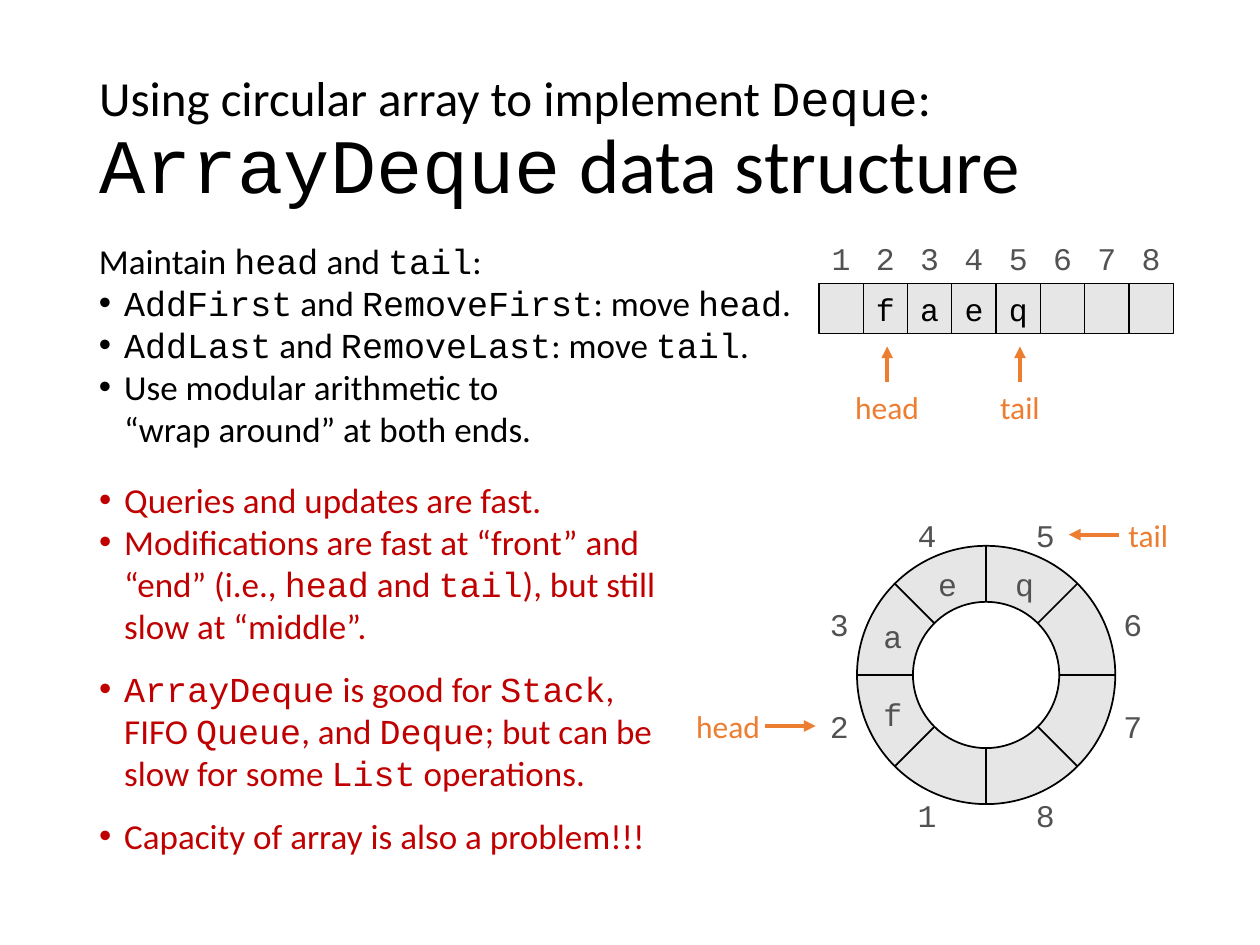
from dataclasses import dataclass
from math import copysign, cos, radians, sin

from lxml.etree import SubElement
from pptx import Presentation
from pptx.dml.color import RGBColor
from pptx.enum.shapes import MSO_CONNECTOR, MSO_SHAPE
from pptx.enum.text import MSO_ANCHOR, MSO_AUTO_SIZE, PP_ALIGN
from pptx.oxml.ns import qn
from pptx.util import Pt

RECT, OVAL = MSO_SHAPE.RECTANGLE, MSO_SHAPE.OVAL
STRAIGHT = MSO_CONNECTOR.STRAIGHT
LEFT, CENTER = PP_ALIGN.LEFT, PP_ALIGN.CENTER
TOP, MIDDLE = MSO_ANCHOR.TOP, MSO_ANCHOR.MIDDLE
FIXED = MSO_AUTO_SIZE.NONE


@dataclass(frozen=True)
class Theme:
    sans: str = "Calibri"
    mono: str = "Courier New"
    ink: str = "000000"
    gray: str = "525252"
    red: str = "C00000"
    orange: str = "ED7D31"
    cell: str = "E7E6E6"
    paper: str = "FFFFFF"
    huge: int = 44
    large: int = 28
    body: int = 20
    small: int = 18


T = Theme()
ROW = 28.8
SLOTS = {2: "f", 3: "a", 4: "e", 5: "q"}
ENDS = {"head": 2, "tail": 5}
FACTS = [
    ("Maintain `head` and `tail`:", False, 0),
    ("`AddFirst` and `RemoveFirst`: move `head`.", True, 0),
    ("`AddLast` and `RemoveLast`: move `tail`.", True, 0),
    ("Use modular arithmetic to\n“wrap around” at both ends.", True, 0),
]
COSTS = [
    ("Queries and updates are fast.", True, 0),
    ("Modifications are fast at “front” and “end” (i.e., `head` and `tail`), "
     "but still slow at “middle”.", True, 0),
    ("`ArrayDeque` is good for `Stack`, FIFO `Queue`, and `Deque`; "
     "but can be slow for some `List` operations.", True, 12),
    ("Capacity of array is also a problem!!!", True, 0),
]


def apply(item, **values):
    for key, value in values.items():
        setattr(item, key, value)


def write(para, text, size, color):
    for row, line in enumerate(text.split("\n")):
        if row:
            para.add_line_break()
            mark = para._p.findall(qn("a:br"))[-1]
            SubElement(mark, qn("a:rPr"), sz=str(size * 100))
        for part, words in enumerate(line.split("`")):
            if words:
                run = para.add_run()
                run.text = words
                apply(run.font, size=Pt(size), name=T.mono if part % 2 else T.sans)
                run.font.color.rgb = RGBColor.from_string(color)


def bullet(para):
    props = para._p.get_or_add_pPr()
    props.set("marL", str(Pt(14.4)))
    props.set("indent", str(Pt(-14.4)))
    SubElement(props, qn("a:buFont"), typeface="Arial")
    SubElement(props, qn("a:buChar"), char="•")


def label(shapes, x, y, text, color, width=25.2):
    box = shapes.add_textbox(Pt(x - width / 2), Pt(y - ROW / 2), Pt(width), Pt(ROW))
    apply(box.text_frame, word_wrap=False, vertical_anchor=MIDDLE)
    para = box.text_frame.paragraphs[0]
    para.alignment = CENTER
    write(para, text, T.small, color)


def block(shapes, kind, box, fill, weight):
    shape = shapes.add_shape(kind, *map(Pt, box))
    shape.shadow.inherit = False
    shape.fill.solid()
    shape.fill.fore_color.rgb = RGBColor.from_string(fill)
    shape.line.color.rgb = RGBColor.from_string(T.ink)
    shape.line.width = Pt(weight)
    return shape


def line(shapes, start, end, color, weight, arrow=False):
    link = shapes.add_connector(STRAIGHT, *map(Pt, start + end))
    link.line.color.rgb = RGBColor.from_string(color)
    link.line.width = Pt(weight)
    if arrow:
        SubElement(link.line._get_or_add_ln(), qn("a:tailEnd"), type="triangle")
    SubElement(link._element.spPr, qn("a:effectLst"))


def add_title(slide, box):
    title = slide.shapes.title
    apply(title, **dict(zip(("left", "top", "width", "height"), map(Pt, box))))
    apply(title.text_frame, auto_size=FIXED, vertical_anchor=MIDDLE, word_wrap=True)
    para = title.text_frame.paragraphs[0]
    apply(para, alignment=LEFT, line_spacing=0.9)
    write(para, "Using circular array to implement `Deque`:\n", T.large, T.ink)
    write(para, "`ArrayDeque` data structure", T.huge, T.ink)


def add_notes(slide, box, items, color, wrap):
    frame = slide.shapes.add_textbox(*map(Pt, box)).text_frame
    apply(frame, word_wrap=wrap, vertical_anchor=TOP)
    for place, (text, dot, gap) in enumerate(items):
        para = frame.add_paragraph() if place else frame.paragraphs[0]
        apply(para, alignment=LEFT, space_before=Pt(gap), space_after=Pt(gap))
        write(para, text, T.body, color)
        if dot:
            bullet(para)


def add_array(slide, box):
    left, top, width, height = box
    shapes = slide.shapes.add_group_shape().shapes
    step = width / 8
    base = top + 2 * ROW
    for num in range(1, 9):
        x = left + step * (num - 1)
        cell = block(shapes, RECT, (x, top + ROW, step, ROW), T.cell, 0.75)
        label(shapes, x + step / 2, top + ROW / 2, f"`{num}`", T.gray)
        if num in SLOTS:
            apply(cell.text_frame, word_wrap=False, vertical_anchor=MIDDLE)
            para = cell.text_frame.paragraphs[0]
            para.alignment = CENTER
            write(para, f"`{SLOTS[num]}`", T.small, T.ink)
    for name, num in ENDS.items():
        x = left + step * (num - 0.5) + 1
        low = top + height - ROW
        line(shapes, (x, low), (x, base + 7.2), T.orange, 2.25, True)
        label(shapes, x, low + ROW / 2, name, T.orange, 52)


def add_ring(slide, box):
    left, top, size, _ = box
    shapes = slide.shapes.add_group_shape().shapes
    outer, inner = size / 2, 41.8
    mid, level = left + outer, top + outer

    def polar(radius, angle):
        turn = radians(angle)
        return mid + radius * cos(turn), level + radius * sin(turn)

    def spot(num, side, cap):
        turn = radians(67.5 + 45 * num)
        dx, dy = side if abs(cos(turn)) > abs(sin(turn)) else cap
        return mid + copysign(dx, cos(turn)), level + copysign(dy, sin(turn))

    block(shapes, OVAL, box, T.cell, 1)
    hole = (mid - inner, level - inner, 2 * inner, 2 * inner)
    block(shapes, OVAL, hole, T.paper, 1)
    for angle in range(0, 360, 45):
        line(shapes, polar(inner, angle), polar(outer, angle), T.ink, 1)
    rim = (83.9, 29.2), (33.8, 80.2)
    for num in range(1, 9):
        label(shapes, *spot(num, *rim), f"`{num}`", T.gray)
    for num, char in SLOTS.items():
        label(shapes, *spot(num, (53.3, 22.3), (22, 52.2)), f"`{char}`", T.gray)
    for name, way, far in (("head", -1, 50), ("tail", 1, 45.4)):
        x, y = spot(ENDS[name], *rim)
        tip = x + way * 13.5
        line(shapes, (tip + way * 28.8, y), (tip, y), T.orange, 2.25, True)
        label(shapes, tip + way * far, y, name, T.orange, 52)


def main():
    deck = Presentation()
    apply(deck, slide_width=Pt(720), slide_height=Pt(540))
    slide = deck.slides.add_slide(deck.slide_layouts[5])
    add_title(slide, (49.5, 28.8, 621, 104.4))
    add_notes(slide, (49.5, 133.2, 412.6, 128), FACTS, T.ink, False)
    add_array(slide, (468, 133.2, 202.4, 113.8))
    add_ring(slide, (489.7, 311.9, 147.6, 147.6))
    add_notes(slide, (49.5, 270, 339.8, 225.4), COSTS, T.red, True)
    deck.save("out.pptx")


if __name__ == "__main__":
    main()
